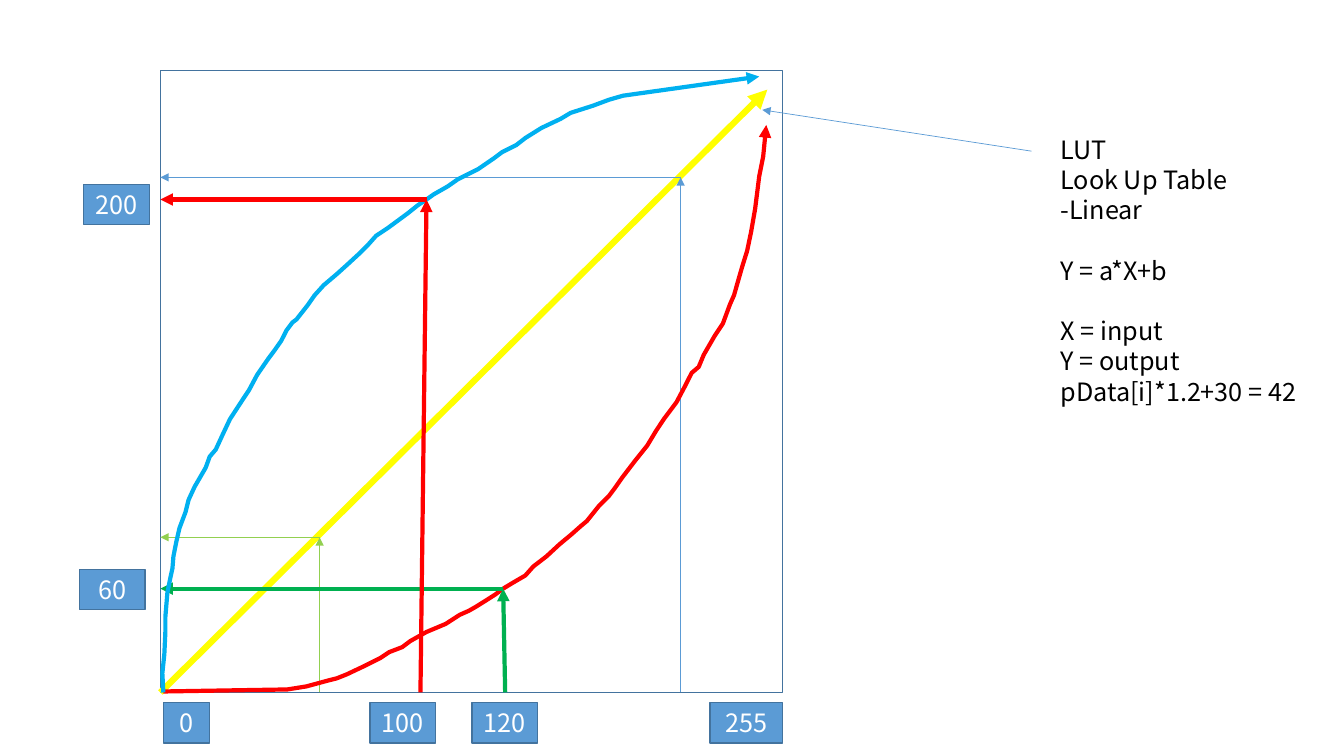
import pptx
import pptx.util
import pptx.dml.color
import pptx.enum.shapes
import pptx.enum.text
import pptx.oxml.ns
from lxml import etree

RGB = pptx.dml.color.RGBColor.from_string
Pt = pptx.util.Pt
SHAPE = pptx.enum.shapes.MSO_SHAPE
STRAIGHT = pptx.enum.shapes.MSO_CONNECTOR.STRAIGHT
ALIGN = pptx.enum.text.PP_ALIGN
qn = pptx.oxml.ns.qn


class Theme:
    frame, accent = RGB("43739E"), RGB("5B9BD5")
    yellow, red, green = RGB("FFFF00"), RGB("FF0000"), RGB("00B050")
    lime, sky = RGB("92D050"), RGB("00B0F0")
    hairline, outline, bold, heavy = Pt(0.5), Pt(1), Pt(3), Pt(4.5)
    text = {"name": "Noto Sans CJK KR", "size": Pt(18)}
    dark, light = RGB("000000"), RGB("FFFFFF")
    blank_line = Pt(21.6)


# Plot coordinates: units right of and above the origin, SIDE units per side
SIDE = 6.17

# Curves, from the origin to the arrowhead
LOW_CURVE = [
    (0.03, 0.01), (1.26, 0.03), (1.45, 0.06), (1.67, 0.12), (1.75, 0.14),
    (1.85, 0.18), (2.02, 0.26), (2.18, 0.34), (2.27, 0.40), (2.40, 0.45),
    (2.48, 0.51), (2.64, 0.60), (2.83, 0.68), (2.97, 0.77), (3.06, 0.81),
    (3.13, 0.85), (3.21, 0.90), (3.32, 0.97), (3.40, 1.03), (3.50, 1.09),
    (3.62, 1.16), (3.70, 1.25), (3.83, 1.35), (3.96, 1.47), (4.08, 1.57),
    (4.17, 1.65), (4.23, 1.70), (4.35, 1.85), (4.45, 1.95), (4.51, 2.03),
    (4.58, 2.13), (4.71, 2.30), (4.83, 2.45), (4.92, 2.60), (5.00, 2.72),
    (5.12, 2.88), (5.21, 3.05), (5.27, 3.17), (5.34, 3.23), (5.39, 3.35),
    (5.50, 3.54), (5.58, 3.66), (5.65, 3.85), (5.69, 3.94), (5.73, 4.08),
    (5.77, 4.22), (5.82, 4.38), (5.86, 4.57), (5.90, 4.80), (5.94, 5.12),
    (5.98, 5.32), (6.01, 5.63)]
HIGH_CURVE = [
    (0.03, 0.00), (0.02, 0.19), (0.04, 0.38), (0.05, 0.60), (0.05, 0.75),
    (0.07, 0.99), (0.10, 1.14), (0.12, 1.23), (0.13, 1.35), (0.16, 1.50),
    (0.19, 1.63), (0.25, 1.79), (0.28, 1.91), (0.34, 2.04), (0.45, 2.23),
    (0.49, 2.34), (0.55, 2.41), (0.61, 2.54), (0.69, 2.71), (0.82, 2.91),
    (0.88, 3.00), (0.96, 3.15), (1.07, 3.31), (1.13, 3.39), (1.20, 3.49),
    (1.25, 3.59), (1.31, 3.67), (1.35, 3.70), (1.46, 3.84), (1.53, 3.94),
    (1.62, 4.04), (1.75, 4.15), (1.85, 4.24), (1.98, 4.36), (2.06, 4.44),
    (2.14, 4.53), (2.26, 4.61), (2.45, 4.75), (2.55, 4.83), (2.64, 4.89),
    (2.71, 4.94), (2.85, 5.02), (2.95, 5.09), (3.15, 5.19), (3.31, 5.30),
    (3.39, 5.36), (3.53, 5.43), (3.62, 5.50), (3.78, 5.60), (3.97, 5.69),
    (4.07, 5.75), (4.29, 5.82), (4.45, 5.88), (4.59, 5.92), (5.94, 6.11)]

# Value labels: text, left, top, width
LABELS = [("0", 0.03, -0.1, 0.46), ("100", 2.08, -0.1, 0.65),
          ("120", 3.09, -0.1, 0.65), ("255", 5.45, -0.1, 0.72),
          ("60", -0.8, 1.22, 0.65), ("200", -0.76, 5.04, 0.65)]
LABEL_HEIGHT = 0.4

# Notes: text, whether a gap of one line precedes it
NOTES = [("LUT\vLook Up Table", False), ("-Linear", False),
         ("Y = a*X+b", True), ("X = input", True), ("Y = output", False),
         ("pData[i]*1.2+30 = 42", False)]


def set_attrs(obj, values):
    for name, value in values.items():
        setattr(obj, name, value)


def write(p, text, color):
    p.text = text
    for r in p.runs:
        set_attrs(r.font, Theme.text)
        r.font.color.rgb = color


def style_line(sp, color, width, arrow=True):
    sp.line.color.rgb = color
    sp.line.width = width
    if arrow:
        etree.SubElement(sp.line._get_or_add_ln(), qn("a:tailEnd"), type="triangle")


def draw_plot(shapes, left, top, side):
    unit = side / SIDE

    def at(point):
        return round(left + point[0] * unit), round(top + side - point[1] * unit)

    def arrow(start, end, color, width):
        cx = shapes.add_connector(STRAIGHT, *at(start), *at(end))
        style_line(cx, color, width)
        etree.SubElement(cx._element.spPr, qn("a:effectLst"))

    def curve(points, color):
        start, *rest = map(at, points)
        builder = shapes.build_freeform(*start, scale=1.0)
        builder.add_line_segments(rest, close=False)
        sp = builder.convert_to_shape()
        sp.shadow.inherit = False
        sp.fill.background()
        style_line(sp, color, Theme.bold)

    def lookup(foot, x, y, color, width):
        arrow((foot, 0), (x, y), color, width)
        arrow((x, y), (0, y), color, width)

    def box(x, y, width, height):
        sp = shapes.add_shape(SHAPE.RECTANGLE, *at((x, y)),
                              round(width * unit), round(height * unit))
        sp.shadow.inherit = False
        style_line(sp, Theme.frame, Theme.outline, arrow=False)
        return sp

    # Frame and linear table
    box(0, SIDE, SIDE, SIDE).fill.background()
    arrow((0, 0), (6.02, 5.98), Theme.yellow, Theme.heavy)

    # Value labels
    for text, x, y, width in LABELS:
        sp = box(x, y, width, LABEL_HEIGHT)
        sp.fill.solid()
        sp.fill.fore_color.rgb = Theme.accent
        tf = sp.text_frame
        set_attrs(tf, {"margin_left": 0, "margin_right": 0, "word_wrap": False,
                       "vertical_anchor": pptx.enum.text.MSO_ANCHOR.MIDDLE})
        tf.paragraphs[0].alignment = ALIGN.CENTER
        write(tf.paragraphs[0], text, Theme.light)

    # Linear lookups and the pointer from the notes
    lookup(1.58, 1.58, 1.54, Theme.lime, Theme.hairline)
    lookup(5.16, 5.16, 5.11, Theme.accent, Theme.hairline)
    arrow((8.64, 5.37), (5.97, 5.78), Theme.accent, Theme.hairline)

    # Curves with their lookups
    curve(LOW_CURVE, Theme.red)
    lookup(3.42, 3.4, 1.03, Theme.green, Theme.bold)
    curve(HIGH_CURVE, Theme.sky)
    lookup(2.58, 2.64, 4.89, Theme.red, Theme.bold)


def draw_notes(shapes, left, top, width, height):
    tf = shapes.add_textbox(left, top, width, height).text_frame
    tf.word_wrap = False
    for i, (text, gap) in enumerate(NOTES):
        p = tf.add_paragraph() if i else tf.paragraphs[0]
        write(p, text, Theme.dark)
        if gap:
            p.space_before = Theme.blank_line


def main():
    prs = pptx.Presentation()
    prs.slide_width = pptx.util.Inches(13.33)
    prs.slide_height = pptx.util.Inches(7.5)
    s = prs.slides.add_slide(prs.slide_layouts[6])

    # Regions as percentages of the slide's width and height
    def across(share):
        return round(prs.slide_width * share / 100)

    def down(share):
        return round(prs.slide_height * share / 100)

    draw_plot(s.shapes, across(11.93), down(9.33), down(82.27))
    draw_notes(s.shapes, across(78.17), down(17.07), across(19.73), down(37.73))
    prs.save("out.pptx")


if __name__ == "__main__":
    main()
